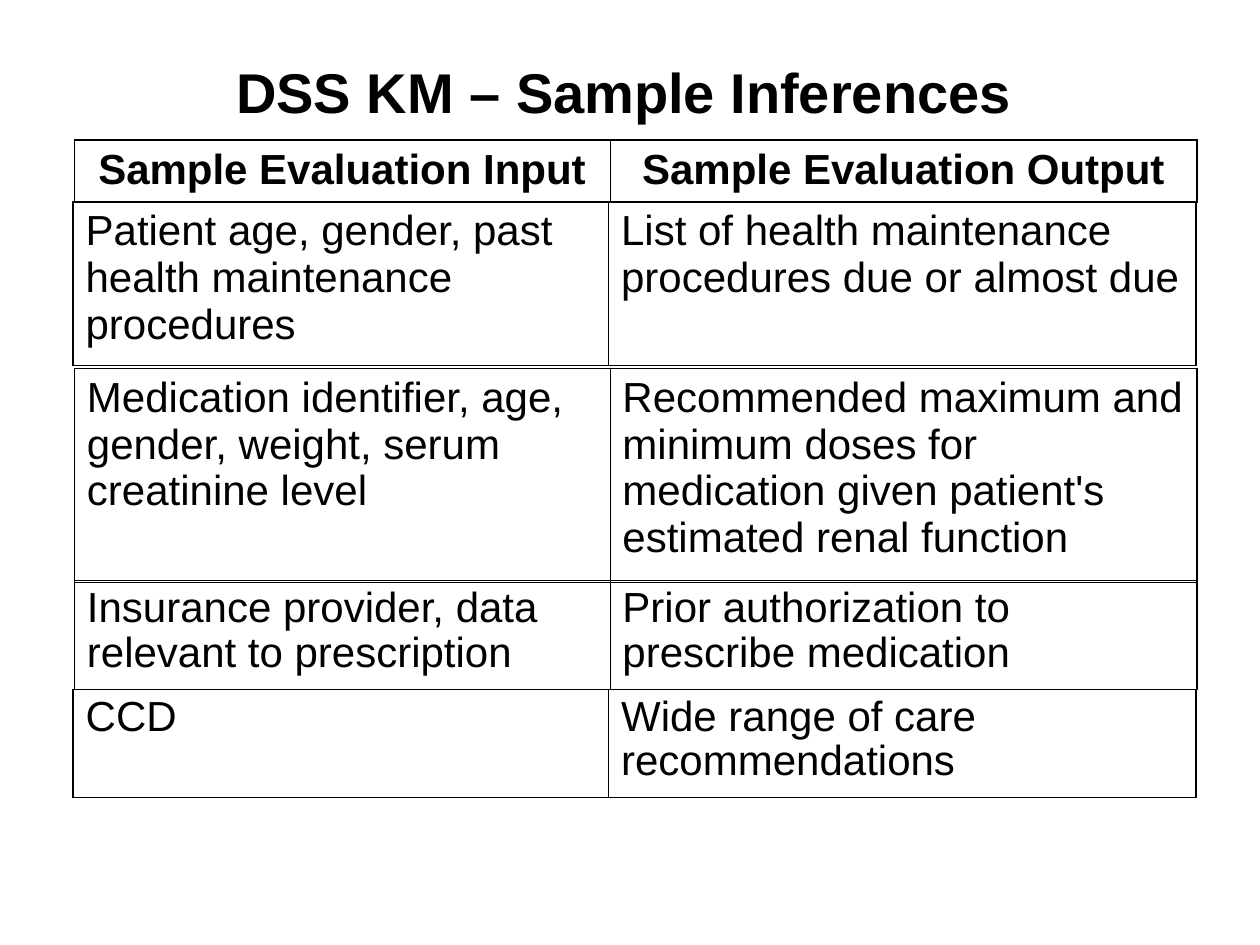
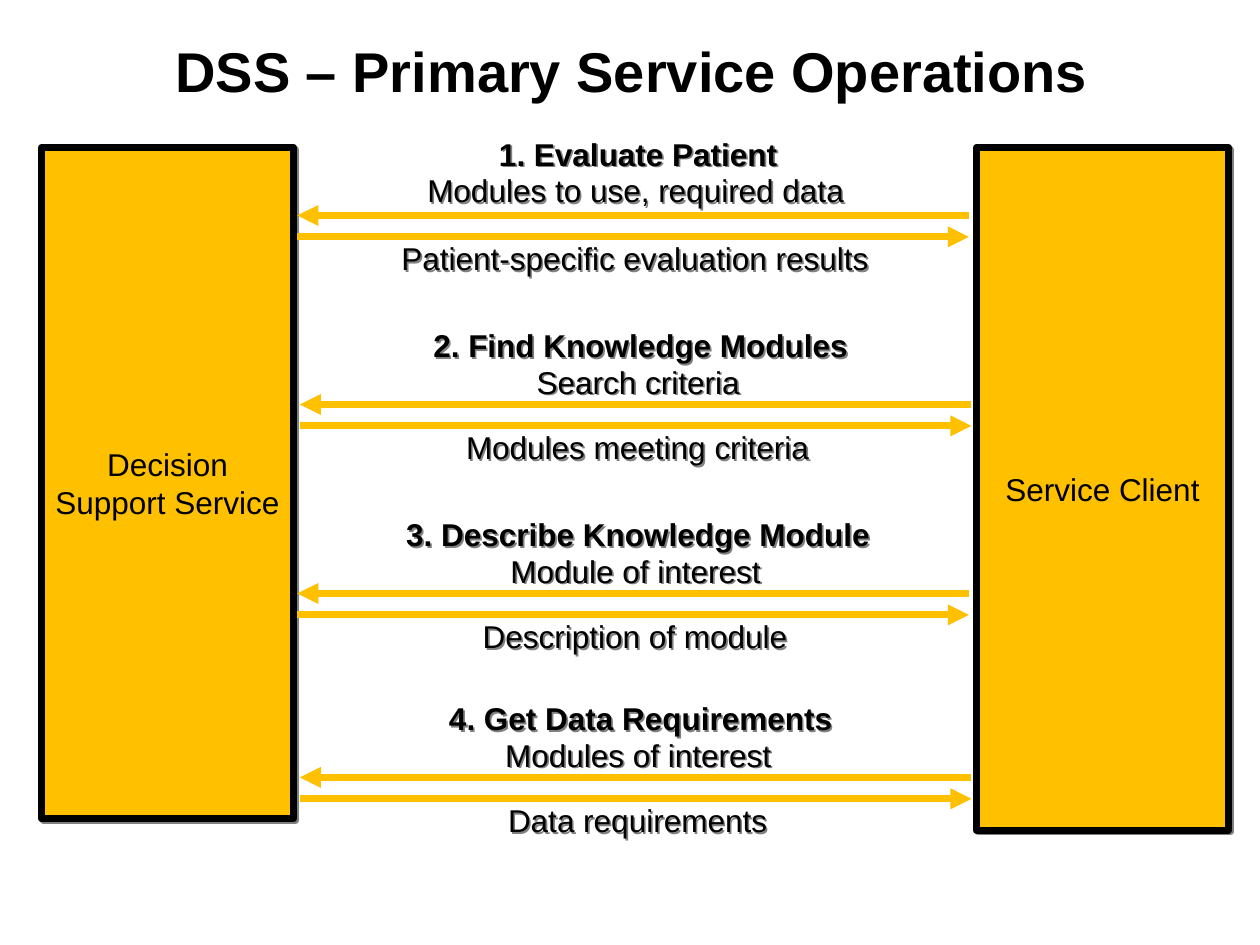
from lxml.etree import SubElement
from pptx import Presentation
from pptx.dml.color import RGBColor
from pptx.enum.shapes import MSO_CONNECTOR, MSO_SHAPE
from pptx.enum.text import MSO_ANCHOR, MSO_AUTO_SIZE, PP_ALIGN
from pptx.oxml.ns import qn
from pptx.util import Inches, Pt

FONT = "Arial"
HUES = {"ink": "000000", "gold": "FFC000", "shade": "808080"}

# left, top, height, header, line spacing, cells
ROWS = [
    (0.59, 1.11, 0.5, True, None,
     ("Sample Evaluation Input", "Sample Evaluation Output")),
    (0.58, 1.6, 1.3, False, None,
     ("Patient age, gender, past health maintenance procedures",
      "List of health maintenance procedures due or almost due")),
    (0.59, 2.92, 1.7, False, None,
     ("Medication identifier, age, gender, weight, serum creatinine level",
      "Recommended maximum and minimum doses for medication given "
      "patient's estimated renal function")),
    (0.59, 4.61, 0.86, False, 0.95,
     ("Insurance provider, data relevant to prescription",
      "Prior authorization to prescribe medication")),
    (0.58, 5.47, 0.86, False, 0.95,
     ("CCD", "Wide range of care recommendations")),
]
COLS = (4.25, 4.66)
THICK, THIN = 1.08, 0.45

# left, height, name
ACTORS = [
    (0.33, 5.33, "Decision Support Service"),
    (7.75, 5.42, "Service Client"),
]

# left, arrow height, lift of the upper labels, name, request, reply
CALLS = [
    (2.36, 1.71, 0.02, "1. Evaluate Patient",
     "Modules to use, required data", "Patient-specific evaluation results"),
    (2.38, 3.21, 0, "2. Find Knowledge Modules",
     "Search criteria", "Modules meeting criteria"),
    (2.36, 4.71, 0, "3. Describe Knowledge Module",
     "Module of interest", "Description of module"),
    (2.38, 6.17, 0, "4. Get Data Requirements",
     "Modules of interest", "Data requirements"),
]
SPAN, GAP = 5.33, 0.17


def hue(name):
    return RGBColor.from_string(HUES[name])


def write(frame, text, size, bold=False, align=PP_ALIGN.CENTER):
    para = frame.paragraphs[0]
    para.alignment = align
    run = para.add_run()
    run.text = text
    run.font.name = FONT
    run.font.size = Pt(size)
    run.font.bold = bold
    run.font.color.rgb = hue("ink")
    return para


def effects(shape, cast=True):
    props = shape._element.spPr
    for old in props.findall(qn("a:effectLst")):
        props.remove(old)
    node = SubElement(props, qn("a:effectLst"))
    if cast:
        shade = SubElement(node, qn("a:outerShdw"), blurRad="0",
                           dist=str(Pt(1.4)), dir="2700000", algn="ctr",
                           rotWithShape="0")
        SubElement(shade, qn("a:srgbClr"), val=HUES["shade"])


def start(deck, text, top):
    slide = deck.slides.add_slide(deck.slide_layouts[5])
    title = slide.shapes.title
    title.left, title.top = Inches(0.14), Inches(top)
    title.width, title.height = Inches(9.75), Inches(0.56)
    frame = title.text_frame
    frame.auto_size = MSO_AUTO_SIZE.NONE
    frame.vertical_anchor = MSO_ANCHOR.MIDDLE
    write(frame, text, 32, True)
    return slide


def edge(cell, sides):
    props = cell._tc.get_or_add_tcPr()
    for side in "LRTB":
        line = SubElement(props, qn(f"a:ln{side}"), w=str(Pt(sides[side])))
        fill = SubElement(line, qn("a:solidFill"))
        SubElement(fill, qn("a:srgbClr"), val=HUES["ink"])


def add_row(slide, left, top, height, head, space, cells):
    table = slide.shapes.add_table(
        1, len(COLS), Inches(left), Inches(top),
        Inches(sum(COLS)), Inches(height)).table
    table.first_row = table.horz_banding = False
    for num, (width, text) in enumerate(zip(COLS, cells)):
        table.columns[num].width = Inches(width)
        cell = table.cell(0, num)
        edge(cell, {"L": THIN if num else THICK,
                    "R": THICK if num else THIN,
                    "T": THICK if head else THIN, "B": THIN})
        cell.fill.background()
        align = PP_ALIGN.CENTER if head else PP_ALIGN.LEFT
        para = write(cell.text_frame, text, 24, head, align)
        para.space_before = Pt(12)
        if space:
            para.line_spacing = space


def add_actor(slide, left, height, name):
    box = slide.shapes.add_shape(MSO_SHAPE.RECTANGLE, Inches(left),
                                 Inches(1.17), Inches(2), Inches(height))
    box.fill.solid()
    box.fill.fore_color.rgb = hue("gold")
    box.line.color.rgb = hue("ink")
    box.line.width = Pt(4)
    effects(box)
    frame = box.text_frame
    frame.word_wrap = True
    frame.vertical_anchor = MSO_ANCHOR.MIDDLE
    frame.margin_left = frame.margin_right = Inches(0.05)
    frame.margin_top = frame.margin_bottom = Inches(0.05)
    write(frame, name, 18)


def add_arrow(group, tail, tip, top):
    line = group.shapes.add_connector(
        MSO_CONNECTOR.STRAIGHT, Inches(tail), Inches(top),
        Inches(tip), Inches(top))
    line.line.color.rgb = hue("gold")
    line.line.width = Pt(4)
    SubElement(line.line._get_or_add_ln(), qn("a:tailEnd"), type="triangle")
    effects(line, False)


def add_label(group, text, left, top, width, bold=False):
    box = group.shapes.add_textbox(Inches(left), Inches(top),
                                   Inches(width), Inches(0.4))
    frame = box.text_frame
    frame.word_wrap = True
    frame.auto_size = MSO_AUTO_SIZE.SHAPE_TO_FIT_TEXT
    write(frame, text, 18, bold)
    effects(box)


def add_call(slide, left, top, lift, name, ask, reply):
    group = slide.shapes.add_group_shape()
    right = left + SPAN
    add_arrow(group, right, left, top)
    add_label(group, name, left + 0.39, top - 0.67 - lift, 4.63, True)
    add_label(group, ask, left + 0.06, top - 0.38 - lift, 5.25)
    add_arrow(group, left, right, top + GAP)
    add_label(group, reply, left + 0.39, top + 0.14, 4.58)


def main():
    deck = Presentation()
    deck.slide_width, deck.slide_height = Inches(10), Inches(7.5)
    slide = start(deck, "DSS KM – Sample Inferences ", 0.44)
    for row in ROWS:
        add_row(slide, *row)
    slide = start(deck, "DSS – Primary Service Operations", 0.28)
    for actor in ACTORS:
        add_actor(slide, *actor)
    for call in CALLS:
        add_call(slide, *call)
    deck.save("out.pptx")


if __name__ == "__main__":
    main()
